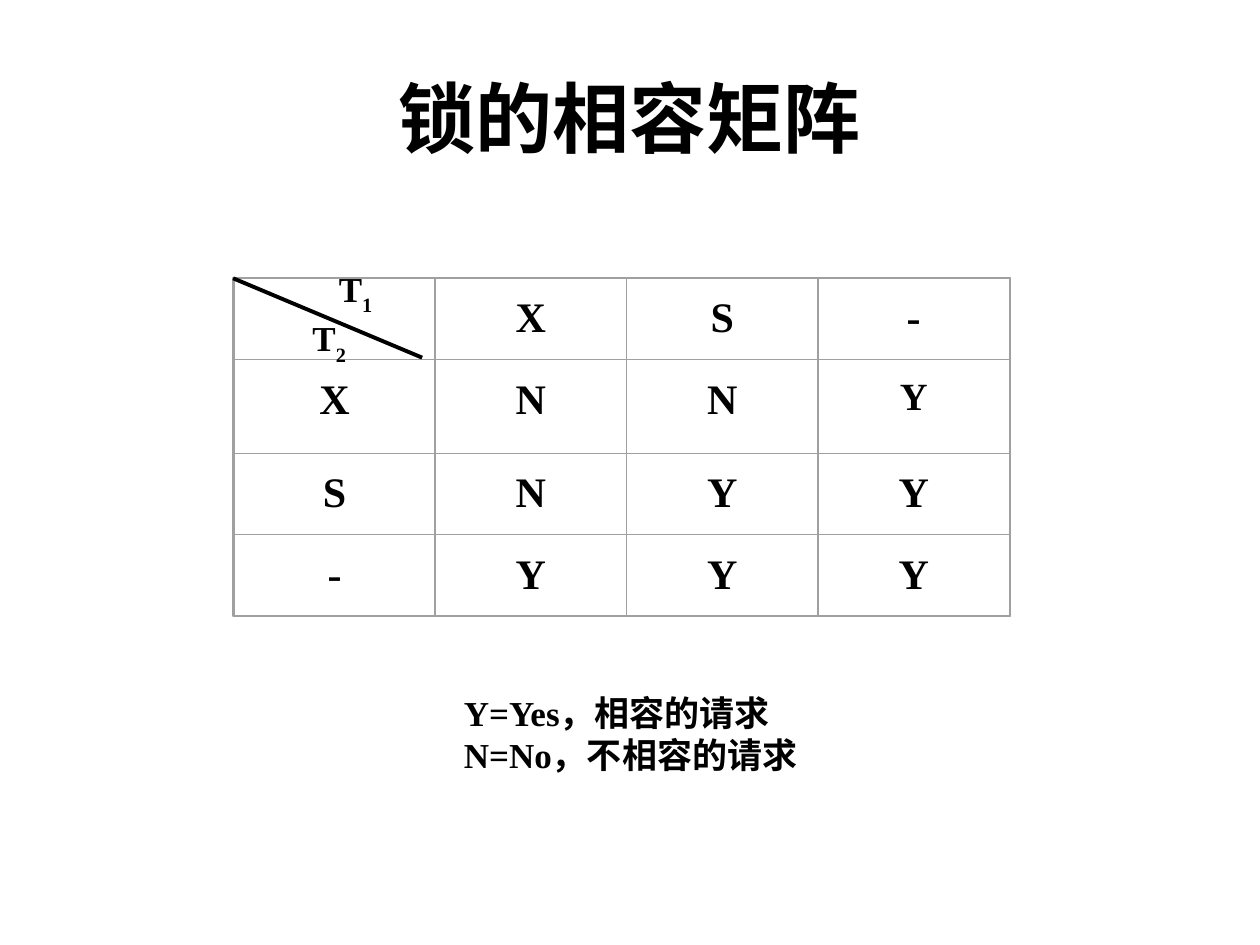
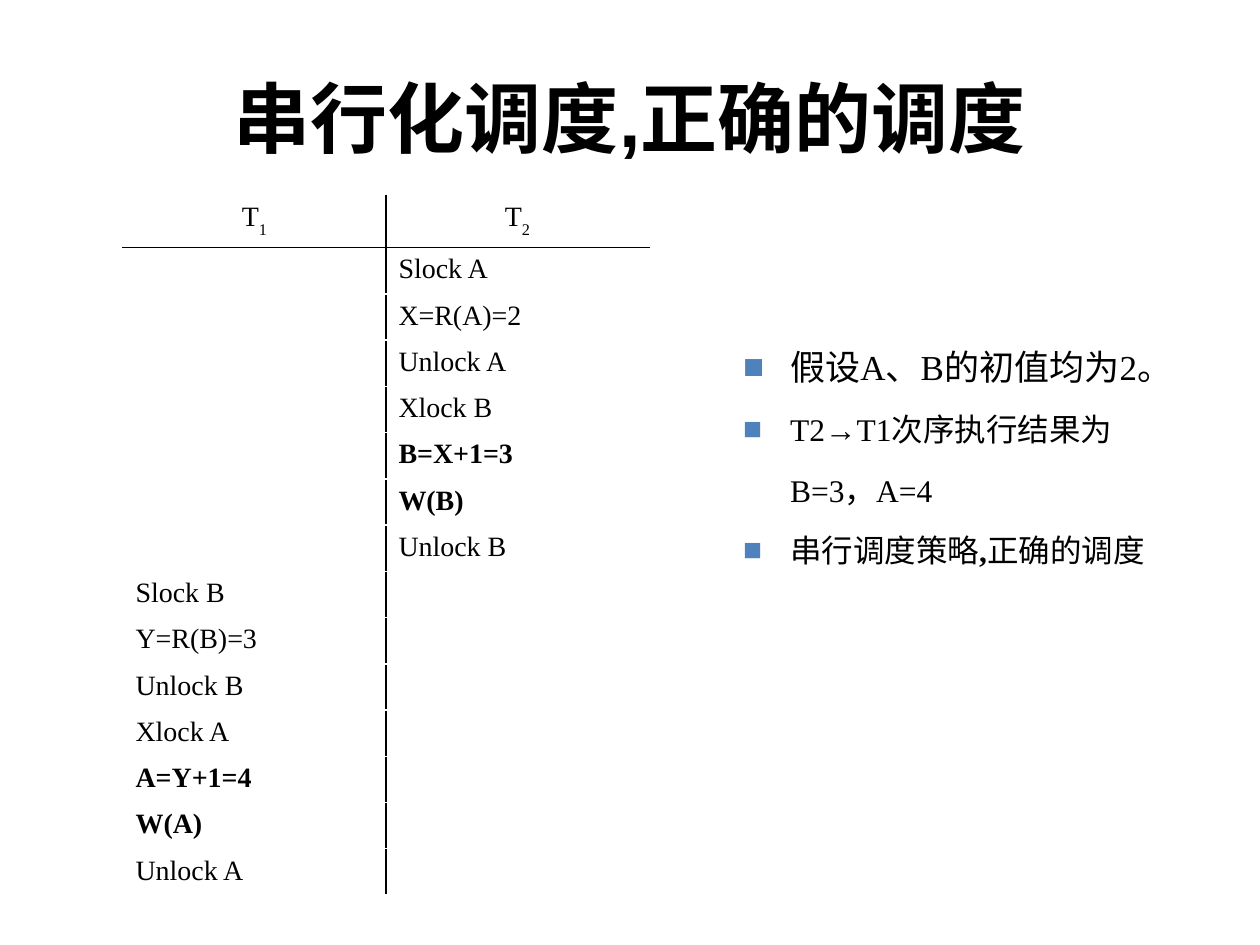
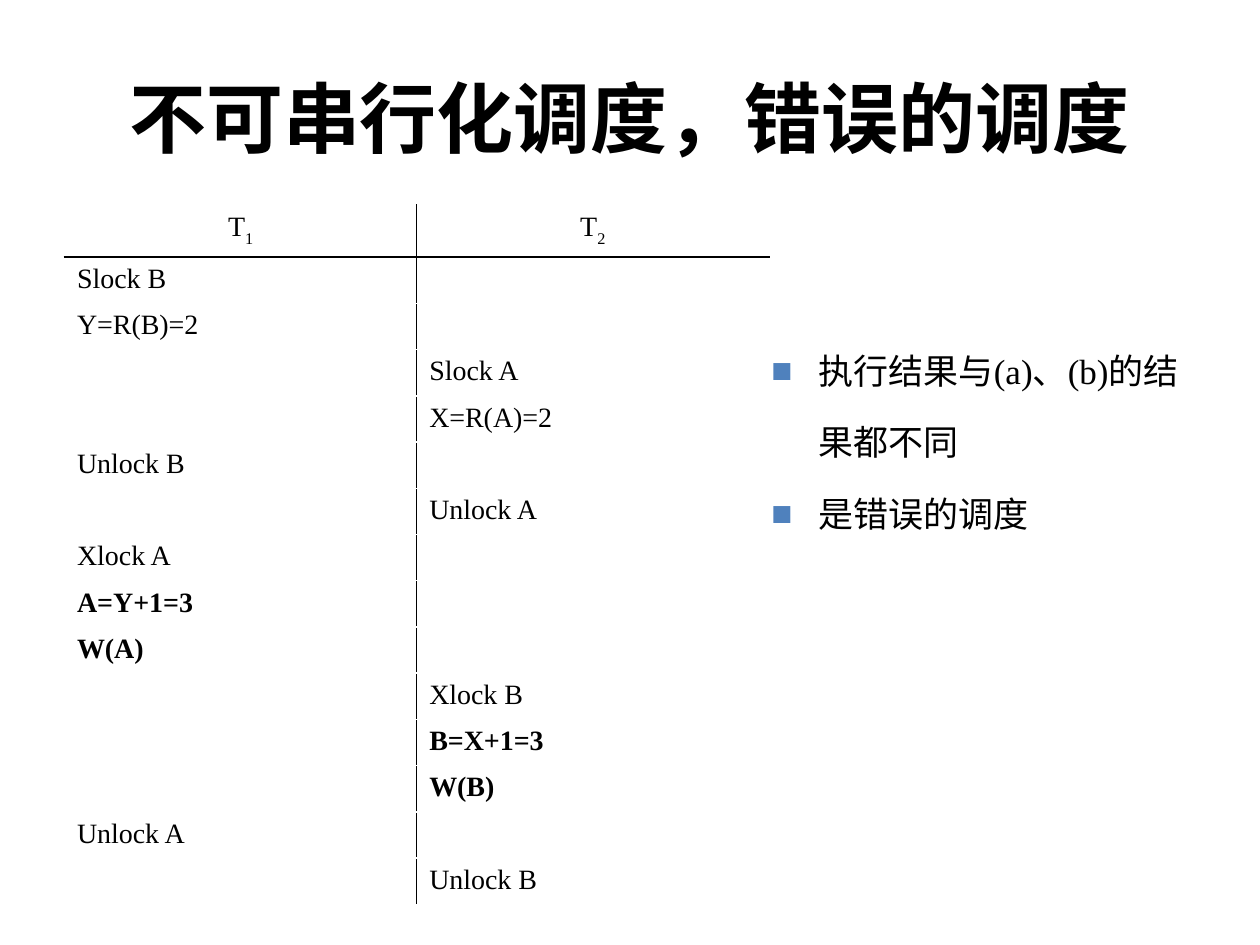
from itertools import accumulate

from lxml.etree import SubElement
from pptx import Presentation
from pptx.dml.color import RGBColor
from pptx.enum.shapes import MSO_CONNECTOR as Connector, MSO_SHAPE as Shape
from pptx.enum.text import MSO_ANCHOR as Anchor, PP_ALIGN as Align
from pptx.oxml import parse_xml
from pptx.oxml.ns import nsdecls, qn
from pptx.util import Cm, Pt

# Shared style
BLACK = RGBColor(0x00, 0x00, 0x00)
WHITE = RGBColor(0xFF, 0xFF, 0xFF)
GREY = RGBColor(0xA0, 0xA0, 0xA0)
BLUE = RGBColor(0x4F, 0x81, 0xBD)
TITLE_FONT, BODY_FONT = "Arial", "Times New Roman"
INDENT = Cm(0.95)

# Lock matrix content: the first row and column name the locks
MATRIX = [
    ["", "X", "S", "-"],
    ["X", "N", "N", "Y"],
    ["S", "N", "Y", "Y"],
    ["-", "Y", "Y", "Y"],
]
MATRIX_SIZES = {(1, 3): 22}
MATRIX_WIDTHS = [4.05, 3.86, 3.86, 3.86]
MATRIX_HEIGHTS = [1.64, 1.89, 1.64, 1.64]
LEGEND = ["Y=Yes，相容的请求", "N=No，不相容的请求"]
CORNER = [("1", 0.89), ("2", 0.36)]

# Schedules: each step is (transaction, operation)
SCHEDULES = [
    {
        "title": "串行化调度,正确的调度",
        "table": (2.48, 3.94, 10.6),
        "steps": [
            (2, "Slock A"), (2, "X=R(A)=2"), (2, "Unlock A"), (2, "Xlock B"),
            (2, "B=X+1=3"), (2, "W(B)"), (2, "Unlock B"),
            (1, "Slock B"), (1, "Y=R(B)=3"), (1, "Unlock B"), (1, "Xlock A"),
            (1, "A=Y+1=4"), (1, "W(A)"), (1, "Unlock A"),
        ],
        "notes_box": (14.73, 6.33, 9.17, 5.28),
        "spacing": 1.6,
        "notes": [
            (20, [("假设A、B的初值均为2。", False)]),
            (18, [("T2→T1次序执行结果为B=3，A=4", False)]),
            (18, [("串行调度策略", False), (",", True), ("正确的调度", False)]),
        ],
    },
    {
        "title": "不可串行化调度，错误的调度",
        "table": (1.3, 4.13, 14.2),
        "steps": [
            (1, "Slock B"), (1, "Y=R(B)=2"), (2, "Slock A"), (2, "X=R(A)=2"),
            (1, "Unlock B"), (2, "Unlock A"), (1, "Xlock A"),
            (1, "A=Y+1=3"), (1, "W(A)"), (2, "Xlock B"),
            (2, "B=X+1=3"), (2, "W(B)"), (1, "Unlock A"), (2, "Unlock B"),
        ],
        "notes_box": (15.3, 6.33, 8.89, 4.57),
        "spacing": 1.7,
        "notes": [
            (20, [("执行结果与(a)、(b)的结果都不同", False)]),
            (20, [("是错误的调度", False)]),
        ],
    },
]


def add_span(para, text, size=20, font=BODY_FONT, bold=False, sub=False):
    span = para.add_run()
    span.text = text
    span.font.size = Pt(size)
    span.font.name = font
    span.font.bold = bold
    span.font.color.rgb = BLACK
    if sub:
        span.font._element.set("baseline", "-30000")


def add_transaction(para, number, **style):
    add_span(para, "T", **style)
    add_span(para, number, sub=True, **style)


def set_end_format(para, size):
    mark = SubElement(para._p, qn("a:endParaRPr"), sz=str(size * 100))
    for script in ("a:latin", "a:ea", "a:cs"):
        SubElement(mark, qn(script), typeface=BODY_FONT)


def add_box(page, left, top, width, height):
    box = page.shapes.add_textbox(Cm(left), Cm(top), Cm(width), Cm(height))
    box.text_frame.word_wrap = True
    return box.text_frame


def add_rect(page, left, top, width, height, line_width):
    rect = page.shapes.add_shape(
        Shape.RECTANGLE, Cm(left), Cm(top), Cm(width), Cm(height))
    rect.shadow.inherit = False
    rect.fill.background()
    rect.line.color.rgb = GREY
    rect.line.width = Pt(line_width)
    return rect.text_frame


def add_paras(frame, count):
    return [frame.paragraphs[0]] + [frame.add_paragraph() for _ in range(count - 1)]


def add_page(deck, title):
    page = deck.slides.add_slide(deck.slide_layouts[6])
    frame = add_box(page, 1.27, 0.76, 22.86, 3.18)
    frame.vertical_anchor = Anchor.MIDDLE
    para = frame.paragraphs[0]
    para.alignment = Align.CENTER
    add_span(para, title, size=44, font=TITLE_FONT, bold=True)
    return page


def add_grid(page, left, top, widths, heights):
    grid = page.shapes.add_table(
        len(heights), len(widths), Cm(left), Cm(top), Cm(sum(widths)), Cm(sum(heights))
    ).table
    grid.first_row = grid.horz_banding = False
    for column, width in zip(grid.columns, widths):
        column.width = Cm(width)
    for row, height in zip(grid.rows, heights):
        row.height = Cm(height)
    for cell in grid.iter_cells():
        cell.fill.background()
    return grid


def set_borders(cell, **sides):
    """Each side (L, R, T, B) has a colour."""
    props = cell._tc.get_or_add_tcPr()
    for place, side in enumerate("LRTB"):
        props.insert(place, parse_xml(
            f'<a:ln{side} {nsdecls("a")} w="{Pt(1)}"><a:solidFill>'
            f'<a:srgbClr val="{sides[side]}"/></a:solidFill></a:ln{side}>'))


def set_bullet(para):
    props = para._p.get_or_add_pPr()
    props.set("marL", str(INDENT))
    props.set("indent", str(-INDENT))
    color = SubElement(props, qn("a:buClr"))
    SubElement(color, qn("a:srgbClr"), val=str(BLUE))
    SubElement(props, qn("a:buFont"), typeface=TITLE_FONT)
    SubElement(props, qn("a:buChar"), char="■")


def add_matrix_page(deck):
    page = add_page(deck, "锁的相容矩阵")
    left, top = 4.72, 5.61

    # Cells
    lefts = accumulate(MATRIX_WIDTHS, initial=left)
    columns = list(zip(lefts, MATRIX_WIDTHS))
    tops = accumulate(MATRIX_HEIGHTS, initial=top)
    for r, (row, y, height) in enumerate(zip(MATRIX, tops, MATRIX_HEIGHTS)):
        for c, (text, (x, width)) in enumerate(zip(row, columns)):
            frame = add_rect(page, x, y, width, height, 0)
            if text:
                frame.vertical_anchor = Anchor.TOP
                frame.margin_top = Cm(0.25)
                para = frame.paragraphs[0]
                para.alignment = Align.CENTER
                add_span(para, text, size=MATRIX_SIZES.get((r, c), 24), bold=True)
    add_rect(page, left - 0.02, top, sum(MATRIX_WIDTHS) + 0.04,
             sum(MATRIX_HEIGHTS), 0.87)

    # Corner cell: diagonal and the two transactions
    diagonal = page.shapes.add_connector(
        Connector.STRAIGHT, Cm(left - 0.02), Cm(top), Cm(left + 3.79), Cm(top + 1.6))
    diagonal.line.color.rgb = BLACK
    diagonal.line.width = Pt(2.25)
    SubElement(diagonal._element.spPr, qn("a:effectLst"))
    frame = add_box(page, 5.69, 5.26, 2.24, 1.96)
    for para, (number, indent) in zip(add_paras(frame, len(CORNER)), CORNER):
        para._p.get_or_add_pPr().set("marL", str(Cm(indent)))
        add_transaction(para, number, bold=True)

    # Legend
    frame = add_box(page, 9.1, 13.82, 7.8, 3.07)
    for para, text in zip(add_paras(frame, len(LEGEND)), LEGEND):
        add_span(para, text, bold=True)


def add_schedule_page(deck, plan):
    page = add_page(deck, plan["title"])
    left, top, width = plan["table"]
    steps = plan["steps"]
    grid = add_grid(page, left, top, [width / 2] * 2, [0.97] + [0.9] * len(steps))

    # Header and divider lines
    for r in range(len(steps) + 1):
        above = BLACK if r == 1 else WHITE
        below = WHITE if r else BLACK
        set_borders(grid.cell(r, 0), L=WHITE, R=BLACK, T=above, B=below)
        set_borders(grid.cell(r, 1), L=BLACK, R=WHITE, T=above, B=below)
    for c, number in enumerate("12"):
        para = grid.cell(0, c).text_frame.paragraphs[0]
        para.alignment = Align.CENTER
        add_transaction(para, number, size=16)
        set_end_format(para, 16)

    # One step in each row; updates and writes are bold
    for r, (transaction, text) in enumerate(steps, start=1):
        for c in range(2):
            para = grid.cell(r, c).text_frame.paragraphs[0]
            if c == transaction - 1:
                bold = "+1" in text or text.startswith("W(")
                add_span(para, text, size=16, bold=bold)
            set_end_format(para, 16)

    # Bulleted notes
    frame = add_box(page, *plan["notes_box"])
    notes = plan["notes"]
    for para, (size, spans) in zip(add_paras(frame, len(notes)), notes):
        para.line_spacing = plan["spacing"]
        set_bullet(para)
        for text, bold in spans:
            add_span(para, text, size=size, bold=bold)


def main():
    deck = Presentation()
    deck.slide_width, deck.slide_height = Cm(25.4), Cm(19.05)
    add_matrix_page(deck)
    for plan in SCHEDULES:
        add_schedule_page(deck, plan)
    deck.save("out.pptx")


if __name__ == "__main__":
    main()
